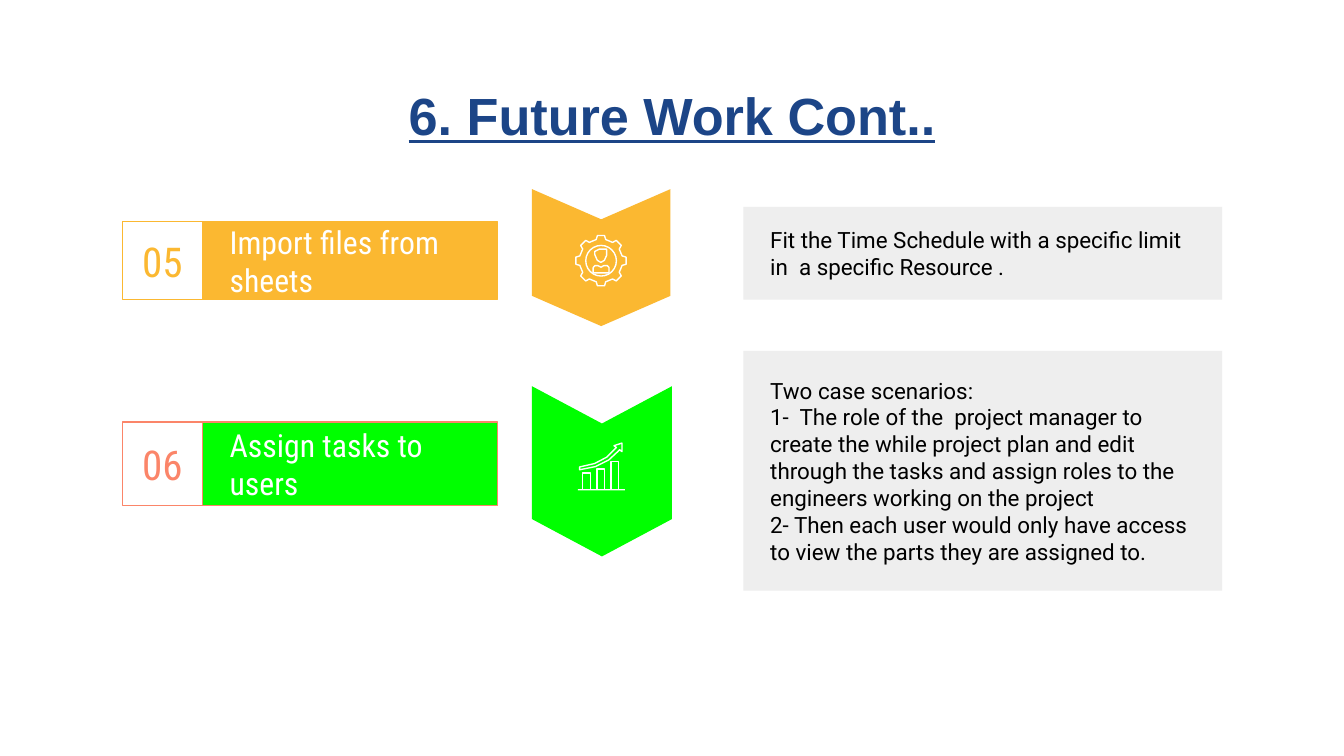
"""Build the future work slide with two numbered rows of label, arrow and description."""
import math

import pptx
import pptx.dml.color
import pptx.enum.shapes
import pptx.enum.text
import pptx.util

Pt = pptx.util.Pt
SHAPE = pptx.enum.shapes.MSO_SHAPE
ALIGN = pptx.enum.text.PP_ALIGN

COLORS = {"navy": "1C4587", "orange": "FBB831", "coral": "FB8569", "green": "00FF00",
          "gray": "EEEEEE", "white": "FFFFFF", "black": "000000"}

TITLE = "6. Future Work Cont.."
ROWS = [
    {"number": "05", "label": "Import files from sheets", "accent": "orange", "fill": "orange",
     "box": (118.8, 41.8), "arrow": (101.3, 74.2, 73.4, 16.2), "panel": (110.9, 49.7),
     "text": ["Fit the Time Schedule with a specific limit in  a specific Resource ."]},
    {"number": "06", "label": "Assign tasks to users", "accent": "coral", "fill": "green",
     "box": (226.1, 44.6), "arrow": (206.9, 75, 91.2, 20), "panel": (187.9, 128.5),
     "text": ["Two case scenarios:",
              "1-  The role of the  project manager to create the while project plan and edit "
              "through the tasks and assign roles to the  engineers working on the project",
              "2- Then each user would only have access to view the parts they are assigned to."]},
]
NUMBER_X, LABEL_X, LABEL_RIGHT, ARROW_X = 65.5, 108.6, 266.4, 285
PANEL_X, PANEL_W = 398.2, 256.5

GEAR = {"center": (322, 139.7), "teeth": 8, "outer": 13.6, "inner": 11.6}
HEAD = [(318.6, 136.3), (318.6, 134.8), (321, 133.5), (325, 133.5), (325, 136.8),
        (323.8, 139.5), (321.9, 140.6), (320, 139.5)]
BODY = [(317.8, 146.2), (317.8, 143.4), (318.8, 142.3), (320.3, 142.3), (322, 143.2),
        (323.6, 142.3), (325.4, 142.3), (326.3, 143.4), (326.3, 146.2)]
BARS = [(312.2, 253.3), (319.8, 251.3), (327.3, 247.2)]
BAR_W, BASE_Y, BASE_X, BASE_W = 4, 262.4, 309.6, 25.2
TREND = [(310.5, 250.2), (318.5, 248.4), (325, 245), (330.2, 239.8), (328.9, 238.8),
         (333.2, 237.4), (333.2, 242), (332, 241), (326.2, 246.4), (319, 250), (310.5, 251.7)]


def rgb(name):
    return pptx.dml.color.RGBColor.from_string(COLORS[name])


def paint(sp, fill=None, line=None, width=0.75):
    sp.shadow.inherit = False
    if fill:
        sp.fill.solid()
        sp.fill.fore_color.rgb = rgb(fill)
    else:
        sp.fill.background()
    if line:
        sp.line.color.rgb = rgb(line)
        sp.line.width = Pt(width)
    else:
        sp.line.fill.background()


def add_preset(s, kind, x, y, w, h, **style):
    sp = s.shapes.add_shape(kind, Pt(x), Pt(y), Pt(w), Pt(h))
    paint(sp, **style)
    return sp


def add_polygon(s, points, **style):
    pts = [(Pt(x), Pt(y)) for x, y in points]
    fb = s.shapes.build_freeform(*pts[0], scale=1.0)
    fb.add_line_segments(pts[1:], close=True)
    paint(fb.convert_to_shape(), **style)


def put_text(sp, paragraphs, size, font, color, align=ALIGN.LEFT, side=(7.2, 7.2),
             bold=False, underline=False):
    tf = sp.text_frame
    tf.word_wrap = True
    tf.vertical_anchor = pptx.enum.text.MSO_ANCHOR.MIDDLE
    tf.margin_left, tf.margin_right = (Pt(m) for m in side)
    tf.margin_top = tf.margin_bottom = Pt(7.2)
    for i, text in enumerate(paragraphs):
        p = tf.add_paragraph() if i else tf.paragraphs[0]
        p.alignment = align
        r = p.add_run()
        r.text = text
        r.font.size, r.font.name = Pt(size), font
        r.font.bold, r.font.underline = bold, underline
        r.font.color.rgb = rgb(color)


def add_row(s, row):
    y, h = row["panel"]
    panel = add_preset(s, SHAPE.RECTANGLE, PANEL_X, y, PANEL_W, h, fill="gray")
    put_text(panel, row["text"], 12, "Roboto", "black", side=(14.4, 14.4))

    y, h = row["box"]
    number = add_preset(s, SHAPE.RECTANGLE, NUMBER_X, y, LABEL_X - NUMBER_X, h,
                        fill="white", line=row["accent"])
    put_text(number, [row["number"]], 22, "Roboto Condensed", row["accent"], ALIGN.CENTER)
    label = add_preset(s, SHAPE.RECTANGLE, LABEL_X, y, LABEL_RIGHT - LABEL_X, h,
                       fill=row["fill"], line=row["accent"])
    put_text(label, [row["label"]], 17, "Roboto Condensed", "white", side=(14.4, 7.2))

    y, w, h, notch = row["arrow"]
    mid, right = ARROW_X + w / 2, ARROW_X + w
    add_polygon(s, [(ARROW_X, y), (mid, y + notch), (right, y), (right, y + h - notch),
                    (mid, y + h), (ARROW_X, y + h - notch)], fill=row["fill"])


def add_gear_icon(s):
    cx, cy = GEAR["center"]
    step = 2 * math.pi / GEAR["teeth"]
    corners = [(-0.28, "inner"), (-0.18, "outer"), (0.18, "outer"), (0.28, "inner")]
    points = [(cx + GEAR[edge] * math.cos((i + turn) * step),
               cy + GEAR[edge] * math.sin((i + turn) * step))
              for i in range(GEAR["teeth"]) for turn, edge in corners]
    add_polygon(s, points, line="white")
    add_preset(s, SHAPE.OVAL, cx - 8.2, cy - 8.2, 16.4, 16.4, line="white")
    for outline in (HEAD, BODY):
        add_polygon(s, outline, line="white")


def add_growth_icon(s):
    for x, y in BARS:
        add_preset(s, SHAPE.RECTANGLE, x, y, BAR_W, BASE_Y - y, line="white")
    add_preset(s, SHAPE.RECTANGLE, BASE_X, BASE_Y - 0.4, BASE_W, 0.8, fill="white")
    add_polygon(s, TREND, line="white")


def main():
    prs = pptx.Presentation()
    prs.slide_width, prs.slide_height = Pt(720), Pt(405)
    s = prs.slides.add_slide(prs.slide_layouts[6])
    title = s.shapes.add_textbox(Pt(56), Pt(42.5), Pt(608), Pt(38.2))
    put_text(title, [TITLE], 28, "Arial", "navy", ALIGN.CENTER, bold=True, underline=True)
    for row in ROWS:
        add_row(s, row)
    add_gear_icon(s)
    add_growth_icon(s)
    prs.save("out.pptx")


if __name__ == "__main__":
    main()
